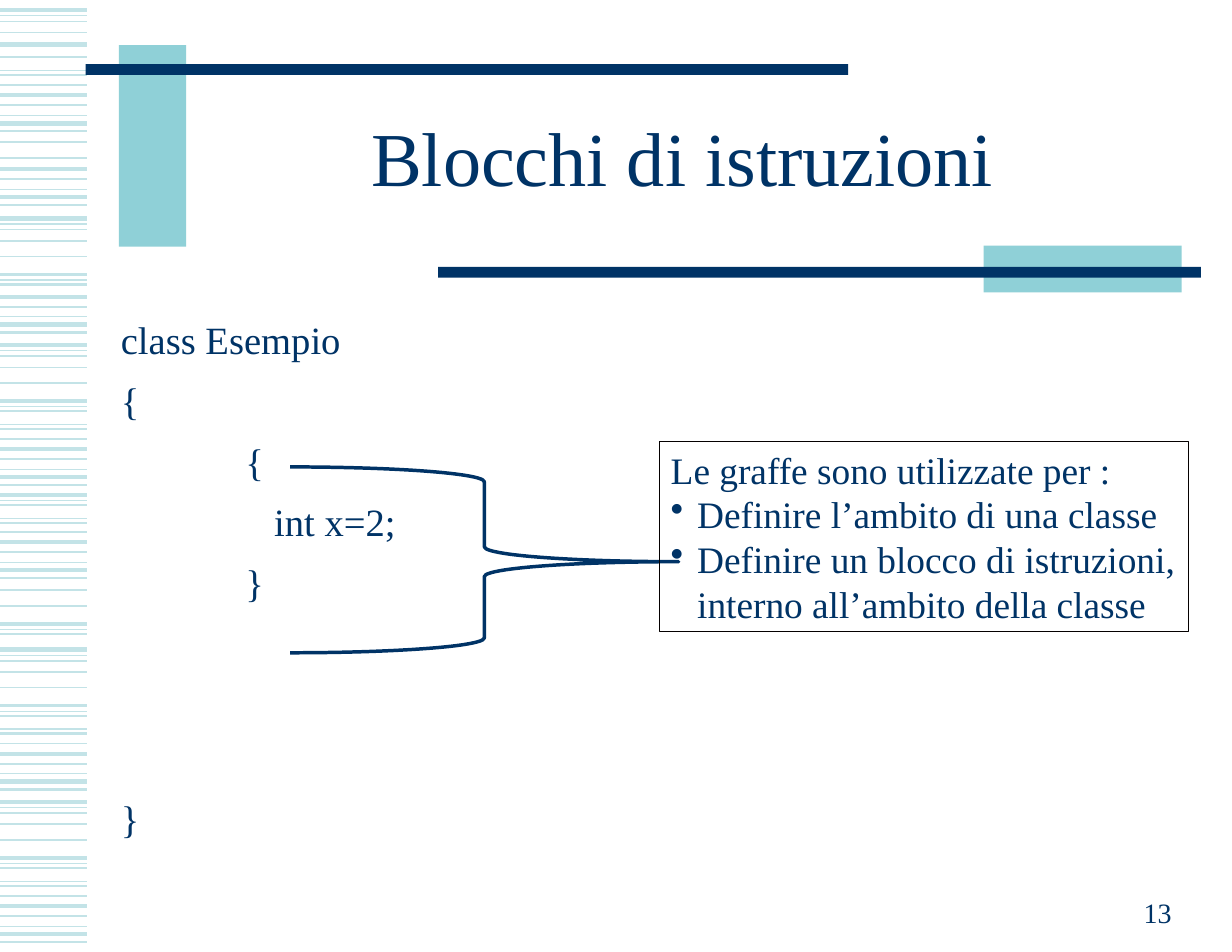
"""Build the slide "Blocchi di istruzioni" with its striped margin and brace callout."""
from lxml import etree
from pptx import Presentation
from pptx.dml.color import RGBColor
from pptx.enum.shapes import MSO_CONNECTOR, MSO_SHAPE
from pptx.enum.text import MSO_ANCHOR, MSO_AUTO_SIZE, PP_ALIGN
from pptx.oxml.ns import qn
from pptx.util import Pt

STRAIGHT = MSO_CONNECTOR.STRAIGHT
RECTANGLE, BRACE = MSO_SHAPE.RECTANGLE, MSO_SHAPE.RIGHT_BRACE
TOP, MIDDLE, BOTTOM = MSO_ANCHOR.TOP, MSO_ANCHOR.MIDDLE, MSO_ANCHOR.BOTTOM
LEFT, CENTER, RIGHT = PP_ALIGN.LEFT, PP_ALIGN.CENTER, PP_ALIGN.RIGHT
NAVY, TEAL, PALE, BLACK = "003366", "8FD0D7", "C3E3E7", "040000"


def color(value):
    return RGBColor.from_string(value)


def write(frame, text, size=24, align=LEFT, before=0, spacing=None, indent=0, bullet=None):
    para = frame.paragraphs[0]
    if para.runs:
        para = frame.add_paragraph()
    para.alignment = align
    para.space_before = Pt(before)
    para.line_spacing = spacing
    properties = para._p.get_or_add_pPr()
    properties.set("marL", str(Pt(indent)))
    properties.set("indent", str(-Pt(indent) if bullet else 0))
    if bullet:
        etree.SubElement(properties, qn("a:buChar")).set("char", bullet)
    else:
        etree.SubElement(properties, qn("a:buNone"))
    span = para.add_run()
    span.text = text
    span.font.name = "Times New Roman"
    span.font.size = Pt(size)
    span.font.color.rgb = color(NAVY)


deck = Presentation()
deck.slide_width, deck.slide_height = Pt(792), Pt(612)
page = deck.slides.add_slide(deck.slide_layouts[1])

dense = [(0, 1), (6.5, 2.25), (13, 1.5), (19.4, 0.75), (24.5, 3), (29.5, 1.5)]
sparse = [(0, 3), (3.6, 0.75), (7.2, 1), (14.4, 1), (24.5, 1),
          (36, 2.25), (39.6, 0.75), (42.5, 1.5), (51.1, 0.75), (54, 1.5)]
bands = [
    (576, dense), (478.1, dense), (342, dense), (282.2, dense),
    (184.3, dense[1:]), (102.2, dense[1:]), (54.7, dense), (4.3, dense[4:5]),
    (515.5, sparse), (417.6, sparse), (221.8, sparse), (140.4, sparse[:8]),
    (365, sparse[3:8]), (282.2, sparse[5:]), (77, sparse[3:5]),
    (6.5, sparse[:4]), (-5.8, sparse[7:]),
]
for start, stripes in bands:
    for offset, weight in stripes:
        y = Pt(start + offset)
        stripe = page.shapes.add_connector(STRAIGHT, 0, y, Pt(56.2), y)
        stripe.line.color.rgb = color(PALE)
        stripe.line.width = Pt(weight)
        etree.SubElement(stripe._element.spPr, qn("a:effectLst"))

bars = [
    (76.5, 29, 43.2, 129.6, TEAL),
    (55, 41.2, 490.3, 7, NAVY),
    (632.3, 158, 127.4, 30, TEAL),
    (281.7, 171.5, 490.3, 7, NAVY),
]
for left, top, width, height, fill in bars:
    bar = page.shapes.add_shape(RECTANGLE, Pt(left), Pt(top), Pt(width), Pt(height))
    bar.shadow.inherit = False
    bar.fill.solid()
    bar.fill.fore_color.rgb = color(fill)
    bar.line.fill.background()

brace = page.shapes.add_shape(BRACE, Pt(186.5), Pt(300.2), Pt(249.8), Pt(119.5))
brace.adjustments[0], brace.adjustments[1] = 0.08, 0.51
callout = page.shapes.add_shape(RECTANGLE, Pt(424.1), Pt(283.7), Pt(339.8), Pt(122.4))
for shape, line, weight in [(brace, NAVY, 2.25), (callout, BLACK, 0.75)]:
    shape.shadow.inherit = False
    shape.fill.background()
    shape.line.color.rgb = color(line)
    shape.line.width = Pt(weight)

title, body = page.placeholders
number = page.shapes.add_textbox(0, 0, 0, 0)
text_boxes = [
    (title, 118.8, 54, 639.4, 102.2, MIDDLE),
    (body, 69.8, 199, 711.4, 344.6, TOP),
    (number, 571, 560.9, 190.1, 41, BOTTOM),
    (callout, 424.1, 283.7, 339.8, 122.4, TOP),
]
for box, left, top, width, height, anchor in text_boxes:
    box.left, box.top, box.width, box.height = Pt(left), Pt(top), Pt(width), Pt(height)
    frame = box.text_frame
    frame.word_wrap = True
    frame.auto_size = MSO_AUTO_SIZE.NONE
    frame.vertical_anchor = anchor
    frame.margin_left = frame.margin_right = Pt(7.9)
    frame.margin_top = frame.margin_bottom = Pt(4.3)

write(title.text_frame, "Blocchi di istruzioni", size=49, align=CENTER, spacing=0.85)
write(number.text_frame, "13", size=18, align=RIGHT)

code = [("class Esempio", 0, 0), ("{", 0, 9.2), ("{", 80, 9.2),
        ("int x=2;", 98.6, 9.2), ("}", 80, 9.2), ("}", 0, 122.4)]
for text, indent, before in code:
    write(body.text_frame, text, size=24.8, indent=indent, before=before)

callout.text_frame.margin_left = Pt(7.2)
callout.text_frame.margin_right = Pt(5)
callout.text_frame.margin_top = Pt(3.6)
write(callout.text_frame, "Le graffe sono utilizzate per :")
for use in ["Definire l’ambito di una classe",
            "Definire un blocco di istruzioni, interno all’ambito della classe"]:
    write(callout.text_frame, use, indent=17, bullet="•")

deck.save("out.pptx")
